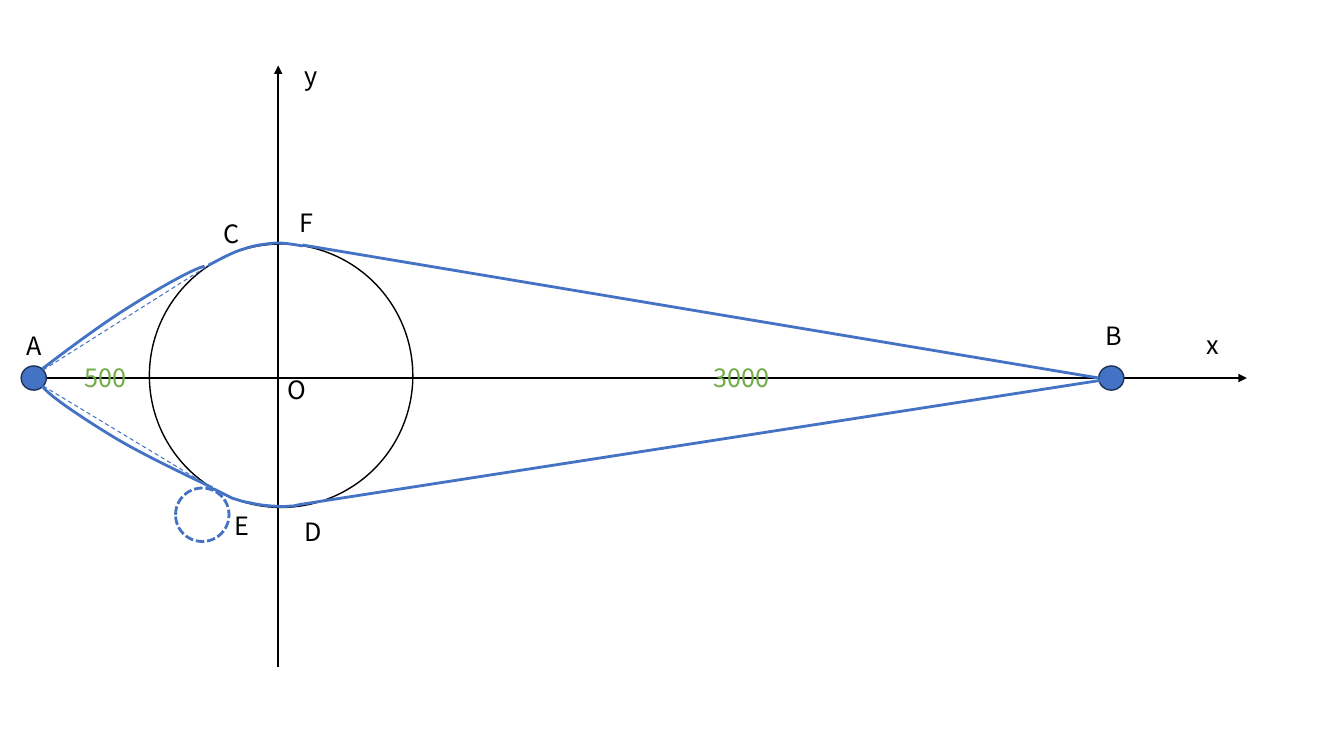
"""Draw the shortest routes from A to B around a circular obstacle at O."""
from dataclasses import dataclass

import lxml.etree
import pptx
import pptx.dml.color
import pptx.enum.dml
import pptx.enum.shapes
import pptx.enum.text
import pptx.oxml.ns
import pptx.util

Pt = pptx.util.Pt
RGB = pptx.dml.color.RGBColor.from_string
DASH = pptx.enum.dml.MSO_LINE
OVAL = pptx.enum.shapes.MSO_SHAPE.OVAL
qn = pptx.oxml.ns.qn


@dataclass(frozen=True)
class Theme:
    ink: str = "000000"
    paper: str = "FFFFFF"
    route: str = "4472C4"
    marker_edge: str = "1E3256"
    distance: str = "70AD47"
    font: str = "Noto Sans CJK SC"
    label_size: int = 18


theme = Theme()
deck = pptx.Presentation()
deck.slide_width, deck.slide_height = Pt(960), Pt(540)
shapes = deck.slides.add_slide(deck.slide_layouts[6]).shapes


def outline(item, colour, width, dash=None):
    item.line.color.rgb = RGB(colour)
    item.line.width = Pt(width)
    if dash is not None:
        item.line.dash_style = dash


def connect(start, end, colour, width, dash=None, arrow=False):
    straight = pptx.enum.shapes.MSO_CONNECTOR.STRAIGHT
    segment = shapes.add_connector(straight, *map(Pt, start + end))
    outline(segment, colour, width, dash)
    if arrow:
        line = segment.line._get_or_add_ln()
        lxml.etree.SubElement(line, qn("a:tailEnd"), type="triangle")
    lxml.etree.SubElement(segment._element.spPr, qn("a:effectLst"))


obstacle = shapes.add_shape(OVAL, Pt(106.7), Pt(174.3), Pt(188.2), Pt(188.2))
obstacle.shadow.inherit = False
obstacle.fill.solid()
obstacle.fill.fore_color.rgb = RGB(theme.paper)
outline(obstacle, theme.ink, 1)

for start, end in [((28.8, 270), (890.6, 270)), ((198.7, 476.6), (198.7, 46.8))]:
    connect(start, end, theme.ink, 1.5, arrow=True)

for left, top, width, height, fill, edge, weight, dash in [
    (15.1, 261.4, 18, 17.3, theme.route, theme.marker_edge, 1, None),
    (784.8, 261.4, 18, 17.3, theme.route, theme.marker_edge, 1, None),
    (125.4, 348.6, 38.2, 38.2, theme.paper, theme.route, 2, DASH.SQUARE_DOT),
]:
    circle = shapes.add_shape(OVAL, Pt(left), Pt(top), Pt(width), Pt(height))
    circle.shadow.inherit = False
    circle.fill.solid()
    circle.fill.fore_color.rgb = RGB(fill)
    outline(circle, edge, weight, dash)

for start, end, weight, dash in [
    ((31, 264.2), (150.5, 188.6), 0.75, DASH.DASH),
    ((784.8, 270), (216, 175), 2, None),
    ((31, 275.8), (152.6, 349.2), 0.75, DASH.DASH),
    ((797, 270), (216.7, 360), 2, None),
]:
    connect(start, end, theme.route, weight, dash)

arc_cf = [(149, 189.4), (157.7, 185), (166.3, 180), (174.2, 177.8),
          (182.2, 175), (190, 174.2), (197.3, 173.5),
          (203.8, 173.5), (212.4, 175), (216, 175.7)]
arc_ed = [(152.6, 349.2), (157, 351.4), (161.3, 353.5), (165.6, 355.7),
          (170, 357.1), (174.2, 358.6), (179.3, 359.3),
          (185, 360.7), (192.2, 361.4), (197.3, 361.6),
          (202.3, 362.2), (206.6, 361.4), (209.5, 361.4),
          (213.1, 360.7), (215.3, 360), (216.7, 360)]
bow_ac = [(30.2, 263.5), (51.8, 247), (73.4, 231.1), (92.9, 218.9),
          (112.3, 206.6), (137.5, 192.2), (146.2, 190.1)]
bow_ea = [(151.9, 348.5), (126.7, 336.2), (100.8, 324), (80.6, 311.8),
          (60.5, 299.5), (35.3, 283), (30.2, 275.8)]

for points in [arc_cf, arc_ed, bow_ac, bow_ea]:
    corners = [(Pt(x), Pt(y)) for x, y in points]
    builder = shapes.build_freeform(*corners[0])
    builder.add_line_segments(corners[1:], close=False)
    curve = builder.convert_to_shape()
    curve.shadow.inherit = False
    curve.fill.background()
    outline(curve, theme.route, 2)
    route = curve._element.find(".//" + qn("a:path"))
    steps = route.findall(qn("a:lnTo"))
    for first in range(0, len(steps), 3):
        bezier = lxml.etree.SubElement(route, qn("a:cubicBezTo"))
        for step in steps[first:first + 3]:
            bezier.append(step[0])
            route.remove(step)

for wording, left, top, width, colour in [
    ("3000", 502.6, 255.6, 116, theme.distance),
    ("x", 854.6, 231.8, 32.4, theme.ink),
    ("y", 210.2, 39.6, 40.3, theme.ink),
    ("A", 11.5, 232.6, 27.4, theme.ink),
    ("B", 782.6, 225.4, 32.4, theme.ink),
    ("500", 53.3, 255.6, 80.6, theme.distance),
    ("C", 152.6, 152.6, 23, theme.ink),
    ("F", 206.6, 144.7, 30.2, theme.ink),
    ("E", 160.6, 360.7, 30.2, theme.ink),
    ("D", 210.2, 365, 37.4, theme.ink),
    ("O", 198, 264.2, 37.4, theme.ink),
]:
    label = shapes.add_textbox(Pt(left), Pt(top), Pt(width), Pt(28.8)).text_frame
    label.word_wrap = True
    label.auto_size = pptx.enum.text.MSO_AUTO_SIZE.SHAPE_TO_FIT_TEXT
    label.text = wording
    font = label.paragraphs[0].font
    font.name, font.size = theme.font, Pt(theme.label_size)
    font.color.rgb = RGB(colour)

deck.save("out.pptx")
